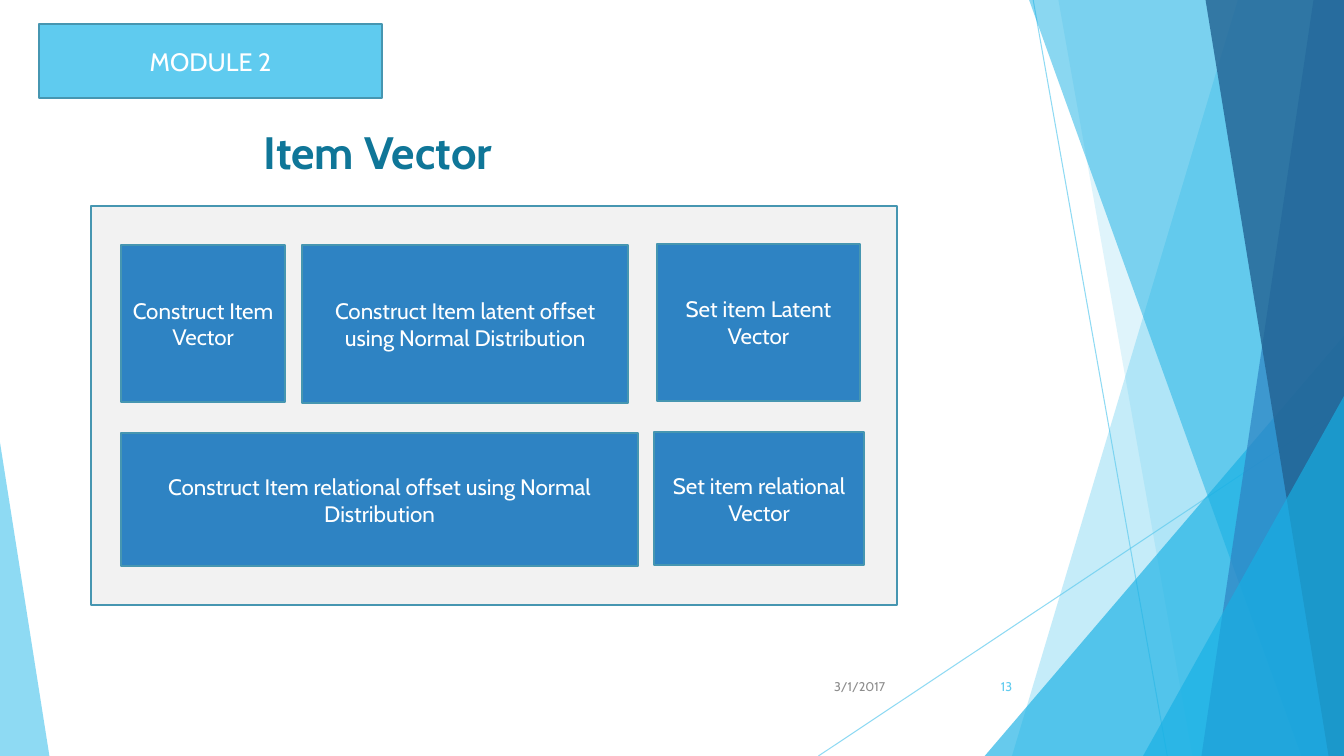
from lxml.etree import SubElement
from pptx import Presentation
from pptx.dml.color import RGBColor
from pptx.enum.shapes import MSO_CONNECTOR, MSO_SHAPE
from pptx.enum.text import MSO_ANCHOR, PP_ALIGN
from pptx.oxml.ns import qn
from pptx.util import Pt

FONT = "Cabin"
SLIDE_WIDTH, SLIDE_HEIGHT = 960, 540
COLORS = {
    "sky": "5FCBEF",
    "cyan": "17B0E4",
    "blue": "2E83C3",
    "navy": "226292",
    "outline": "4696B1",
    "panel": "F2F2F2",
    "title": "0F7698",
    "date": "8C8C8C",
    "white": "FFFFFF",
}


def rgb(name):
    return RGBColor.from_string(COLORS[name])


def set_alpha(shape, percent):
    for color in shape._element.spPr.iter(qn("a:srgbClr")):
        SubElement(color, qn("a:alpha")).set("val", str(percent * 1000))


def write_text(shape, text, size, color="white", bold=False,
               align=PP_ALIGN.CENTER, anchor=MSO_ANCHOR.MIDDLE):
    frame = shape.text_frame
    frame.word_wrap = True
    frame.vertical_anchor = anchor
    paragraph = frame.paragraphs[0]
    paragraph.alignment = align
    run = paragraph.add_run()
    run.text = text
    run.font.name = FONT
    run.font.size = Pt(size)
    run.font.bold = bold
    run.font.color.rgb = rgb(color)


def add_label(slide, box, text, size, **text_format):
    shape = slide.shapes.add_textbox(*map(Pt, box))
    write_text(shape, text, size, **text_format)


def add_box(slide, box, fill, text=None, size=16):
    shape = slide.shapes.add_shape(MSO_SHAPE.RECTANGLE, *map(Pt, box))
    shape.shadow.inherit = False
    shape.fill.solid()
    shape.fill.fore_color.rgb = rgb(fill)
    shape.line.color.rgb = rgb("outline")
    shape.line.width = Pt(1.5)
    if text:
        write_text(shape, text, size)


def paint_facet(shape, color, alpha):
    shape.shadow.inherit = False
    shape.fill.solid()
    shape.fill.fore_color.rgb = rgb(color)
    shape.line.fill.background()
    set_alpha(shape, alpha)


def add_ray(slide, start, end):
    ray = slide.shapes.add_connector(MSO_CONNECTOR.STRAIGHT, *map(Pt, start + end))
    ray.line.color.rgb = rgb("sky")
    ray.line.width = Pt(0.75)
    set_alpha(ray, 70)
    SubElement(ray._element.spPr, qn("a:effectLst"))


def add_wedge(slide, box, apex, color, alpha):
    shape = slide.shapes.add_shape(MSO_SHAPE.ISOSCELES_TRIANGLE, *map(Pt, box))
    shape.adjustments[0] = apex
    paint_facet(shape, color, alpha)


def add_facets(slide, left, top, width, height):
    right, bottom = left + width, top + height

    def band(top_offset, bottom_offset, color, alpha):
        builder = slide.shapes.build_freeform(Pt(left + top_offset), Pt(top))
        corners = [(right, top), (right, bottom), (left + bottom_offset, bottom)]
        builder.add_line_segments([(Pt(x), Pt(y)) for x, y in corners], close=True)
        paint_facet(builder.convert_to_shape(), color, alpha)

    def corner_wedge(x, y):
        add_wedge(slide, (left + x, top + y, width - x, height - y), 1, "cyan", 66)

    add_ray(slide, (left + 162, top), (left + 257.8, bottom))
    add_ray(slide, (right, top + 290.2), (left + 8.6, bottom))
    band(308.2, 146.9, "sky", 36)
    band(180, 275.8, "sky", 20)
    corner_wedge(127.4, 239.8)
    band(159.1, 353.5, "cyan", 50)
    band(362.2, 282.2, "blue", 70)
    band(285.1, 373, "navy", 80)
    corner_wedge(240.5, 283)


def add_header(slide, left, top, width, height):
    add_label(slide, (left + 153.4, top + 67.7, 208.8, 94.3), "Item Vector", 32.4,
              color="title", bold=True, align=PP_ALIGN.LEFT, anchor=MSO_ANCHOR.TOP)
    add_box(slide, (left, top, width, height), "sky", "MODULE 2", 18)


def add_steps(slide, left, top, width, height):
    add_box(slide, (left, top, width, height), "panel")
    steps = [
        (21.6, 28.4, 117.4, 111.6, "Construct Item Vector"),
        (151.2, 28.1, 232.6, 113, "Construct Item latent offset using Normal Distribution"),
        (21.6, 162.7, 369.4, 95, "Construct Item relational offset using Normal Distribution"),
        (404.6, 27.4, 144.7, 111.9, "Set item Latent Vector"),
        (402.5, 162, 149.8, 95, "Set item relational Vector"),
    ]
    for x, y, step_width, step_height, text in steps:
        add_box(slide, (left + x, top + y, step_width, step_height), "blue", text)


def add_footer(slide, left, top, width, height):
    number_width = 54
    add_label(slide, (left, top, 72, height), "3/1/2017", 9,
              color="date", align=PP_ALIGN.RIGHT)
    add_label(slide, (left + width - number_width, top, number_width, height), "13", 9,
              color="sky", align=PP_ALIGN.RIGHT)


def main():
    presentation = Presentation()
    presentation.slide_width = Pt(SLIDE_WIDTH)
    presentation.slide_height = Pt(SLIDE_HEIGHT)
    slide = presentation.slides.add_slide(presentation.slide_layouts[6])
    add_facets(slide, 576, 0, 384, SLIDE_HEIGHT)
    add_wedge(slide, (0, 316.1, 35.3, 223.9), 0, "sky", 70)
    add_header(slide, 28, 17.3, 244.8, 52.6)
    add_steps(slide, 64.8, 146.9, 576, 285.1)
    add_footer(slide, 567.4, 475.9, 162.7, 28.8)
    presentation.save("out.pptx")


if __name__ == "__main__":
    main()
